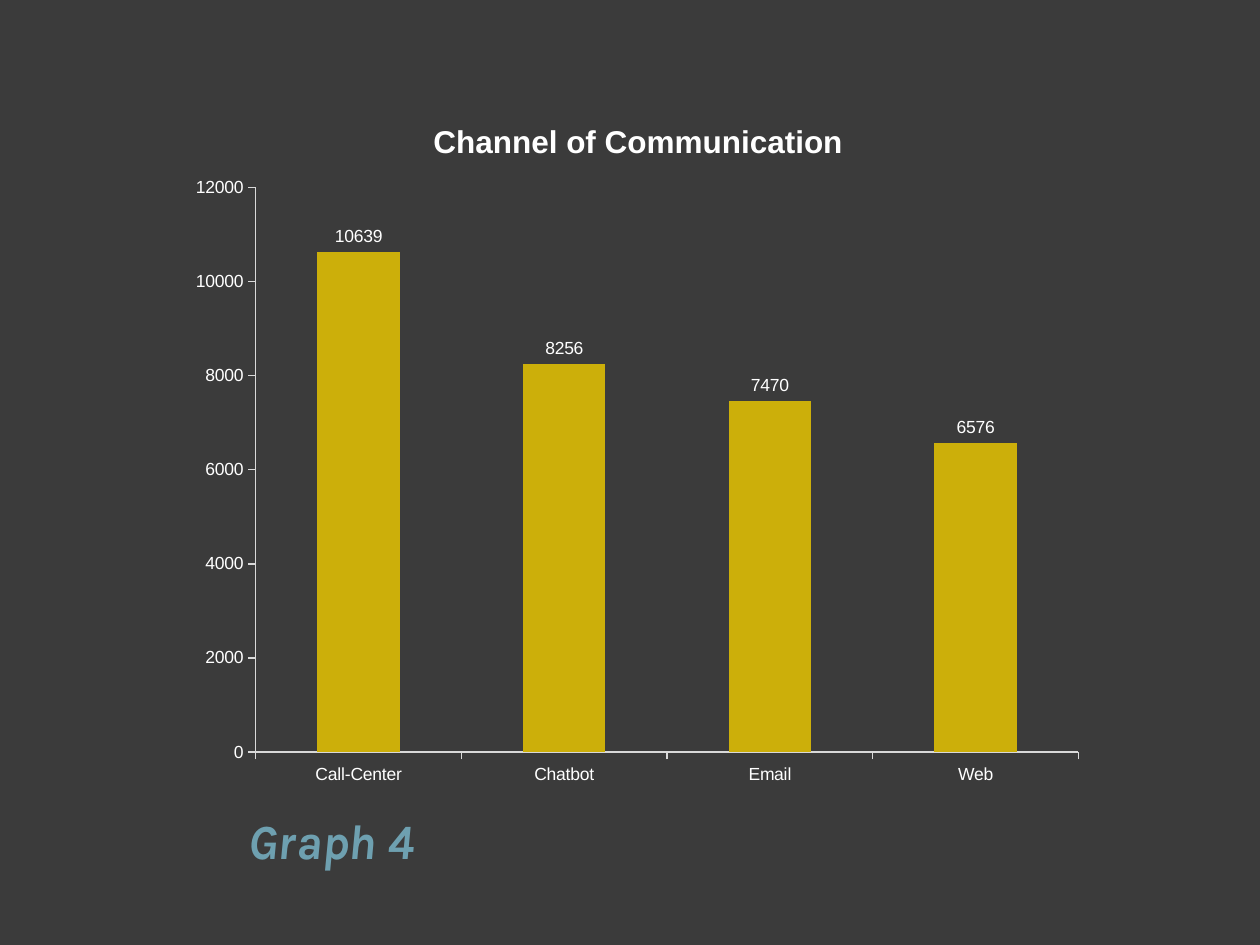
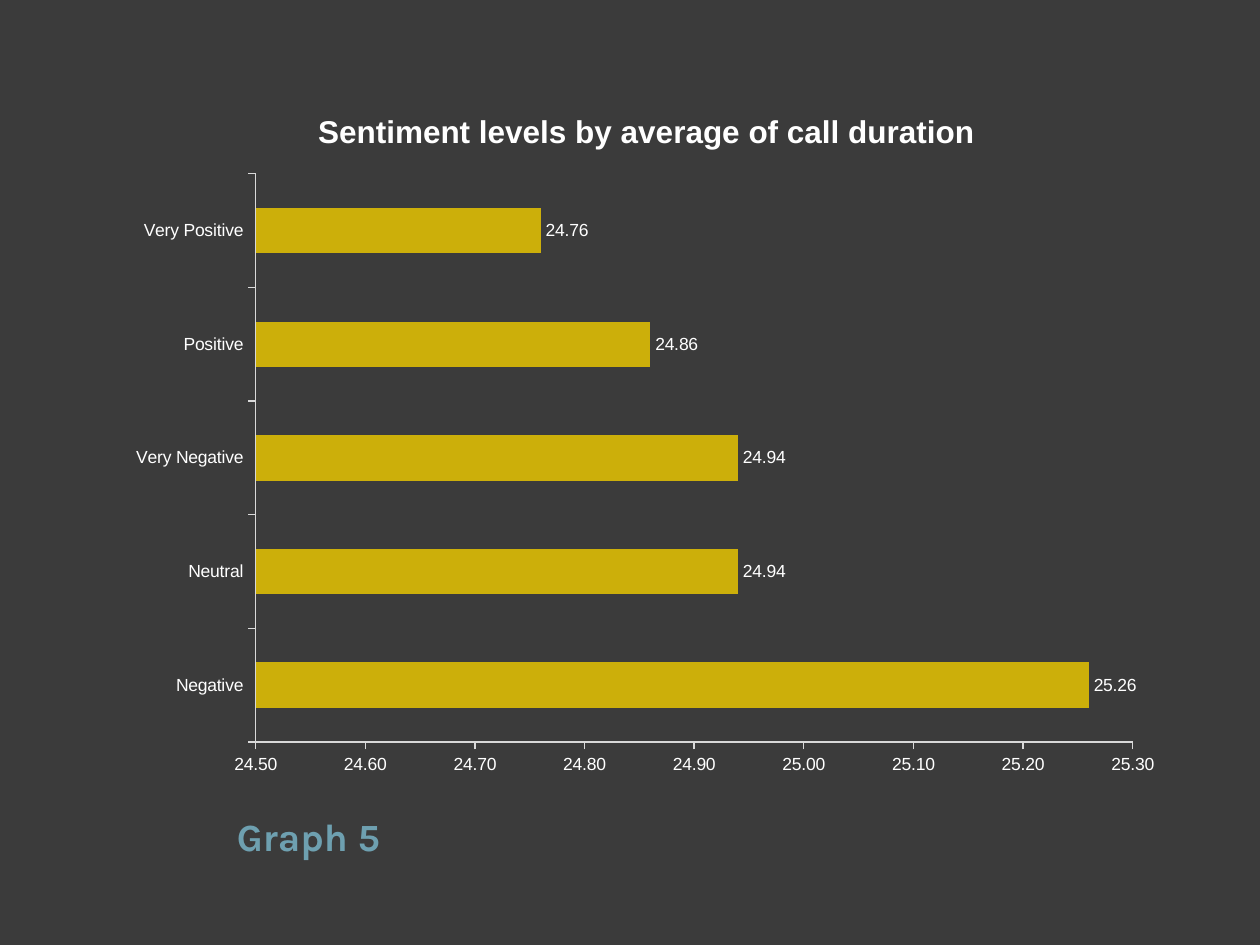
from dataclasses import dataclass
from pptx import Presentation
from pptx.chart.data import CategoryChartData as ChartData
from pptx.dml.color import RGBColor as RGB
from pptx.enum.chart import XL_CHART_TYPE as CT, XL_LABEL_POSITION as LP, XL_TICK_MARK as TM
from pptx.enum.text import MSO_ANCHOR as ANC, MSO_AUTO_SIZE as FIT, PP_ALIGN as AL
from pptx.oxml import parse_xml
from pptx.oxml.ns import nsdecls
from pptx.util import Inches, Pt


@dataclass(frozen=True)
class Theme:
    back: RGB = RGB.from_string("3B3B3B")
    accent: RGB = RGB.from_string("6EA0B0")
    bar: RGB = RGB.from_string("CCAF0A")
    text: RGB = RGB.from_string("FFFFFF")
    axis: RGB = RGB.from_string("D9D9D9")
    title_font: str = "Karla"
    chart_font: str = "Arial"
    chart_size: int = 10
    chart_title_size: int = 18


T = Theme()

SLIDES = [
    dict(title="Graph 4", title_at=(1.92, 6.33), size=28, italic=True,
         kind=CT.COLUMN_CLUSTERED, chart_at=(1.42, 0.75, 7.29, 5.58),
         plot_at=(2.03, 1.49, 6.53, 4.48),
         heading="Channel of Communication", fmt="General", scale=(0, 12000, 2000),
         data=[("Call-Center", 10639), ("Chatbot", 8256), ("Email", 7470), ("Web", 6576)]),
    dict(title="Graph 5", title_at=(1.83, 6.25), size=22, italic=False,
         kind=CT.BAR_CLUSTERED, chart_at=(0.92, 0.67, 8.42, 5.58),
         plot_at=(2.03, 1.38, 6.96, 4.51),
         heading="Sentiment levels by average of call duration",
         fmt="0.00;[Red]0.00", scale=(24.5, 25.3, 0.1),
         data=[("Negative", 25.26), ("Neutral", 24.94), ("Very Negative", 24.94),
               ("Positive", 24.86), ("Very Positive", 24.76)]),
]


def style_font(font, name, size, color, bold=False, italic=False):
    font.name, font.size = name, Pt(size)
    font.color.rgb = color
    font.bold, font.italic = bold, italic


def add_title(s, item):
    sp = s.shapes.title
    sp.left, sp.top = map(Inches, item["title_at"])
    sp.width, sp.height = Inches(6), Inches(0.62)
    tf = sp.text_frame
    tf.text = item["title"]
    tf.word_wrap, tf.auto_size, tf.vertical_anchor = True, FIT.NONE, ANC.BOTTOM
    tf.margin_left = tf.margin_right = tf.margin_top = tf.margin_bottom = Inches(0.05)
    p = tf.paragraphs[0]
    p.alignment = AL.LEFT
    style_font(p.font, T.title_font, item["size"], T.accent, True, item["italic"])


def place_plot(chart, plot_at, chart_at):
    x, y, w, h = chart_at
    px, py, pw, ph = plot_at
    parts = dict(x=(px - x) / w, y=(py - y) / h, w=pw / w, h=ph / h)
    values = "".join(f'<c:{k} val="{v:.4f}"/>' for k, v in parts.items())
    layout = parse_xml(
        f'<c:layout {nsdecls("c")}><c:manualLayout><c:layoutTarget val="inner"/>'
        f'<c:xMode val="edge"/><c:yMode val="edge"/>{values}</c:manualLayout></c:layout>')
    area = chart.element.xpath("c:chart/c:plotArea")[0]
    for old in area.xpath("c:layout"):
        area.remove(old)
    area.insert(0, layout)


def add_bars(s, item):
    data = ChartData(number_format=item["fmt"])
    data.categories = [name for name, _ in item["data"]]
    data.add_series("Series 1", [value for _, value in item["data"]])
    chart = s.shapes.add_chart(item["kind"], *map(Inches, item["chart_at"]), data).chart
    chart.has_legend = False
    style_font(chart.font, T.chart_font, T.chart_size, T.text)

    chart.has_title = True
    tf = chart.chart_title.text_frame
    tf.text = item["heading"]
    style_font(tf.paragraphs[0].font, T.chart_font, T.chart_title_size, T.text, True)
    chart.chart_title.include_in_layout = False

    for axis in (chart.category_axis, chart.value_axis):
        axis.has_major_gridlines = False
        axis.major_tick_mark, axis.minor_tick_mark = TM.OUTSIDE, TM.NONE
        axis.format.line.color.rgb = T.axis
        axis.format.line.width = Pt(0.75)
    axis = chart.value_axis
    axis.minimum_scale, axis.maximum_scale, axis.major_unit = item["scale"]
    axis.tick_labels.number_format = item["fmt"]
    axis.tick_labels.number_format_is_linked = False

    plot = chart.plots[0]
    plot.gap_width, plot.vary_by_categories = 150, False
    fill = plot.series[0].format.fill
    fill.solid()
    fill.fore_color.rgb = T.bar
    plot.has_data_labels = True
    labels = plot.data_labels
    labels.show_value, labels.position = True, LP.OUTSIDE_END
    labels.number_format, labels.number_format_is_linked = item["fmt"], False
    style_font(labels.font, T.chart_font, T.chart_size, T.text)
    place_plot(chart, item["plot_at"], item["chart_at"])


prs = Presentation()
prs.slide_width, prs.slide_height = Inches(10), Inches(7.5)
back = prs.slide_master.background.fill
back.solid()
back.fore_color.rgb = T.back
for item in SLIDES:
    s = prs.slides.add_slide(prs.slide_layouts[5])
    add_title(s, item)
    add_bars(s, item)
prs.save("out.pptx")
